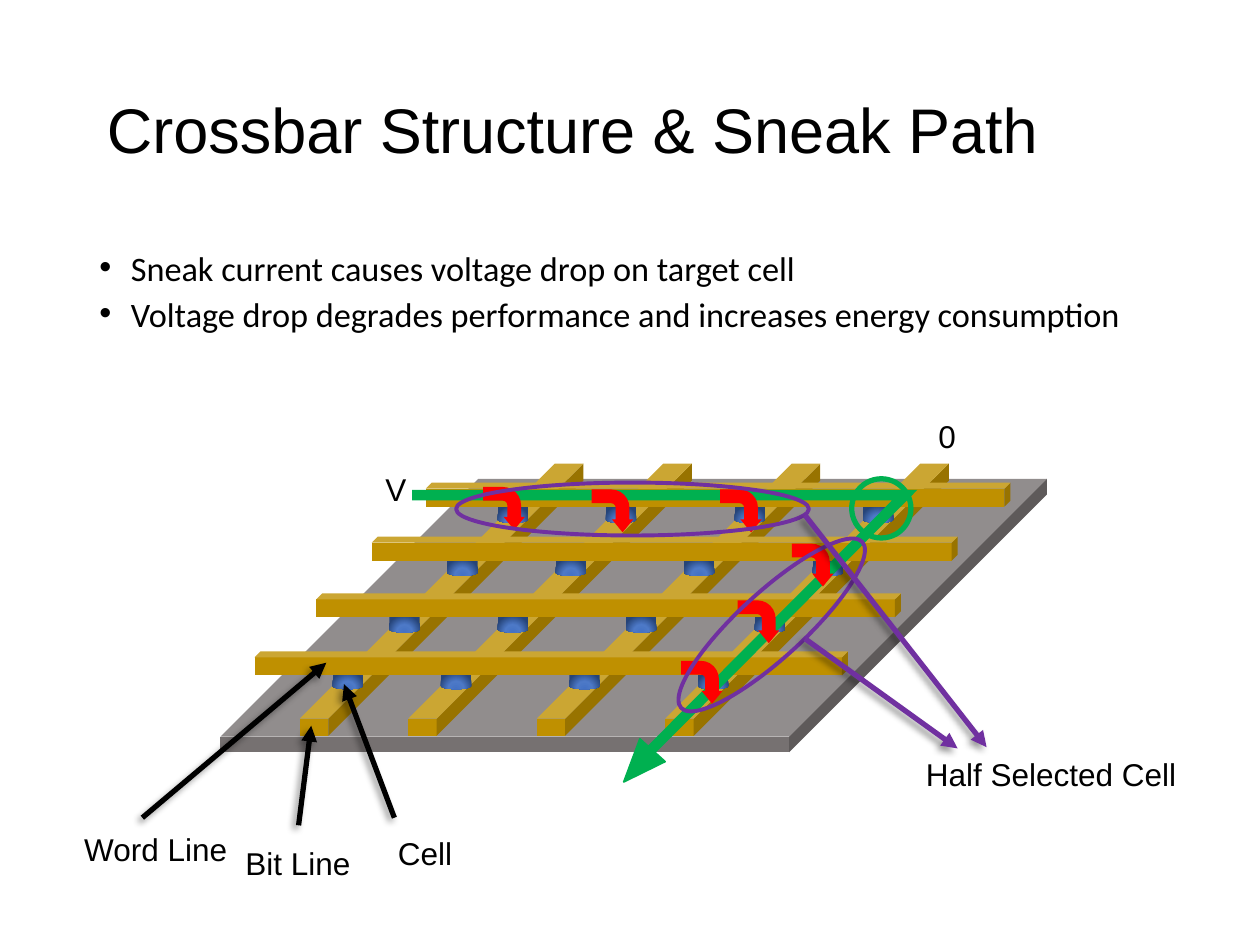
from dataclasses import dataclass
from typing import Optional

import pptx
import pptx.dml.color
import pptx.enum.shapes
import pptx.enum.text
import pptx.oxml
import pptx.oxml.ns
import pptx.util

Inches = pptx.util.Inches
Pt = pptx.util.Pt
Preset = pptx.enum.shapes.MSO_SHAPE
qn = pptx.oxml.ns.qn

COLORS = {
    "text": "000000",
    "board": "767171",
    "wire": "BF9000",
    "cell": "4472C4",
    "cell_mid": "4D79C7",
    "cell_dark": "264478",
    "selected": "00B050",
    "sneak": "FF0000",
    "half": "7030A0",
}
NAMESPACE = 'xmlns:a="http://schemas.openxmlformats.org/drawingml/2006/main"'
COLUMN_OFFSETS = (0, 0.86, 1.88, 2.9)


@dataclass(frozen=True)
class Label:
    text: str
    left: float
    top: float
    width: float
    height: float = 0.4
    size: float = 18
    wrap: bool = False


@dataclass(frozen=True)
class WordLine:
    left: float
    top: float
    width: float
    cells_left: float
    cells_top: float


@dataclass(frozen=True)
class Pointer:
    start: tuple[float, float]
    end: tuple[float, float]
    color: str = "text"


@dataclass(frozen=True)
class Solid:
    preset: int
    left: float
    top: float
    width: float
    height: float
    fill: Optional[str] = None
    line: Optional[str] = None
    line_width: float = 1
    rotation: float = 0
    adjustments: tuple[float, ...] = ()


LABELS = (
    Label("Crossbar Structure & Sneak Path", 0.75, 0.67, 7.88, 0.71, 36, True),
    Label("V", 2.96, 3.68, 0.37),
    Label("0", 7.35, 3.26, 0.34),
    Label("Cell", 3.06, 6.57, 0.64, wrap=True),
    Label("Word Line", 0.57, 6.54, 1.35),
    Label("Bit Line", 1.85, 6.65, 1.04),
    Label("Half Selected Cell", 7.25, 5.94, 2.68, wrap=True),
)
FINDINGS = (
    "Sneak current causes voltage drop on target cell",
    "Voltage drop degrades performance and increases energy consumption",
)
WORD_LINES = (
    WordLine(3.38, 3.83, 4.64, 3.95, 4),
    WordLine(2.95, 4.26, 4.65, 3.55, 4.42),
    WordLine(2.51, 4.71, 4.64, 3.09, 4.87),
    WordLine(2.02, 5.17, 4.71, 2.64, 5.32),
)
PART_POINTERS = (
    Pointer((1.13, 6.49), (2.59, 5.26)),
    Pointer((2.37, 6.55), (2.47, 5.76)),
    Pointer((3.13, 6.49), (2.73, 5.43)),
)
HALF_POINTERS = (
    Pointer((6.39, 5.07), (7.6, 5.94), "half"),
    Pointer((6.39, 4.09), (7.83, 5.93), "half"),
)
SELECTED_PATH = ((3.27, 3.93), (7.18, 3.93), (5.11, 6.01))
SNEAK_CORNERS = ((3.83, 3.87), (4.69, 3.89), (5.71, 3.89),
                 (6.28, 4.32), (5.85, 4.77), (5.4, 5.25))
HIGHLIGHTS = (
    Solid(Preset.OVAL, 6.76, 3.8, 0.47, 0.47, None, "selected", 3),
    Solid(Preset.OVAL, 3.62, 3.83, 2.8, 0.42, None, "half", 2.25),
    Solid(Preset.OVAL, 5.15, 4.7, 1.95, 0.52, None, "half", 2.25, 317.5),
)


def rgb(color: str) -> pptx.dml.color.RGBColor:
    return pptx.dml.color.RGBColor.from_string(COLORS[color])


def xml(markup: str):
    return pptx.oxml.parse_xml(markup.replace(" ", f" {NAMESPACE} ", 1))


def apply(target, values: dict) -> None:
    for attribute, value in values.items():
        setattr(target, attribute, value)


def style_line(line, color: str, width: float) -> None:
    line.color.rgb = rgb(color)
    line.width = Pt(width)


def draw_solid(shapes, solid: Solid):
    shape = shapes.add_shape(solid.preset, Inches(solid.left), Inches(solid.top),
                             Inches(solid.width), Inches(solid.height))
    shape.shadow.inherit = False
    shape.rotation = solid.rotation
    for index, value in enumerate(solid.adjustments):
        shape.adjustments[index] = value
    if solid.fill:
        shape.fill.solid()
        shape.fill.fore_color.rgb = rgb(solid.fill)
    else:
        shape.fill.background()
    if solid.line:
        style_line(shape.line, solid.line, solid.line_width)
    else:
        shape.line.fill.background()
    return shape


def draw_cell(shapes, left: float, top: float) -> None:
    cell = draw_solid(shapes, Solid(Preset.FLOWCHART_MAGNETIC_DISK, left, top, 0.24, 0.15))
    stops = "".join(
        f'<a:gs pos="{position}"><a:srgbClr val="{COLORS[color]}"/></a:gs>'
        for position, color in ((0, "cell"), (46000, "cell_mid"), (100000, "cell_dark")))
    gradient = xml(
        f'<a:gradFill rotWithShape="1"><a:gsLst>{stops}</a:gsLst><a:path path="circle">'
        '<a:fillToRect l="50000" t="130000" r="50000" b="-30000"/></a:path></a:gradFill>')
    properties = cell._element.spPr
    properties.replace(properties.find(qn("a:noFill")), gradient)


def draw_pointer(shapes, pointer: Pointer) -> None:
    ends = [Inches(value) for value in (*pointer.start, *pointer.end)]
    connector = shapes.add_connector(pptx.enum.shapes.MSO_CONNECTOR.STRAIGHT, *ends)
    style_line(connector.line, pointer.color, 3)
    properties = connector._element.spPr
    properties.find(qn("a:ln")).append(xml('<a:tailEnd type="triangle"/>'))
    properties.append(xml(
        '<a:effectLst ><a:outerShdw blurRad="50800" dist="38100" dir="8100000" algn="tr" '
        'rotWithShape="0"><a:srgbClr val="000000"><a:alpha val="40000"/></a:srgbClr>'
        '</a:outerShdw></a:effectLst>'))


def draw_label(shapes, label: Label) -> None:
    box = shapes.add_textbox(Inches(label.left), Inches(label.top),
                             Inches(label.width), Inches(label.height))
    apply(box.text_frame, {"text": label.text, "word_wrap": label.wrap,
                           "auto_size": pptx.enum.text.MSO_AUTO_SIZE.SHAPE_TO_FIT_TEXT})
    font = box.text_frame.paragraphs[0].runs[0].font
    apply(font, {"name": "Arial", "size": Pt(label.size)})
    font.color.rgb = rgb("text")


def draw_findings(shapes) -> None:
    frame = shapes.add_textbox(Inches(0.69), Inches(2), Inches(8.62), Inches(0.92)).text_frame
    apply(frame, {"text": "\n".join(FINDINGS), "word_wrap": True})
    for index, paragraph in enumerate(frame.paragraphs):
        properties = paragraph._p.get_or_add_pPr()
        properties.set("marL", str(Inches(0.25)))
        properties.set("indent", str(-Inches(0.25)))
        properties.append(xml('<a:buFont typeface="Arial"/>'))
        properties.append(xml('<a:buChar char="•"/>'))
        apply(paragraph, {"line_spacing": 0.7, "space_before": Pt(10 if index else 0)})
        font = paragraph.runs[0].font
        apply(font, {"name": "Calibri", "size": Pt(19.6)})
        font.color.rgb = rgb("text")


def draw_crossbar(shapes) -> None:
    draw_solid(shapes, Solid(Preset.CUBE, 1.75, 3.8, 6.56, 2.17, "board", adjustments=(0.943,)))
    for offset in COLUMN_OFFSETS:
        draw_solid(shapes, Solid(Preset.CUBE, 2.38 + offset, 3.68, 2.25, 2.16, "wire",
                                 adjustments=(0.937,)))
    for row in WORD_LINES:
        for offset in COLUMN_OFFSETS:
            draw_cell(shapes, row.cells_left + offset, row.cells_top)
        draw_solid(shapes, Solid(Preset.CUBE, row.left, row.top, row.width, 0.19, "wire"))


def draw_selected_path(shapes) -> None:
    start, *rest = [(Inches(x), Inches(y)) for x, y in SELECTED_PATH]
    builder = shapes.build_freeform(*start)
    builder.add_line_segments(rest, close=False)
    route = builder.convert_to_shape()
    route.shadow.inherit = False
    route.fill.background()
    style_line(route.line, "selected", 6)
    route._element.spPr.find(qn("a:ln")).append(xml('<a:miter lim="800000"/>'))
    draw_solid(shapes, Solid(Preset.FLOWCHART_MERGE, 4.93, 5.91, 0.27, 0.34,
                             "selected", "selected", 1, 42.1))


def main() -> None:
    deck = pptx.Presentation()
    apply(deck, {"slide_width": Inches(10), "slide_height": Inches(7.5)})
    shapes = deck.slides.add_slide(deck.slide_layouts[6]).shapes
    draw_crossbar(shapes)
    for pointer in PART_POINTERS:
        draw_pointer(shapes, pointer)
    draw_selected_path(shapes)
    for left, top in SNEAK_CORNERS:
        draw_solid(shapes, Solid(Preset.BENT_ARROW, left, top, 0.34, 0.33, "sneak", rotation=90,
                                 adjustments=(0.331, 0.255, 0.308, 0.438)))
    for highlight in HIGHLIGHTS:
        draw_solid(shapes, highlight)
    for pointer in HALF_POINTERS:
        draw_pointer(shapes, pointer)
    draw_findings(shapes)
    for label in LABELS:
        draw_label(shapes, label)
    deck.save("out.pptx")


if __name__ == "__main__":
    main()
